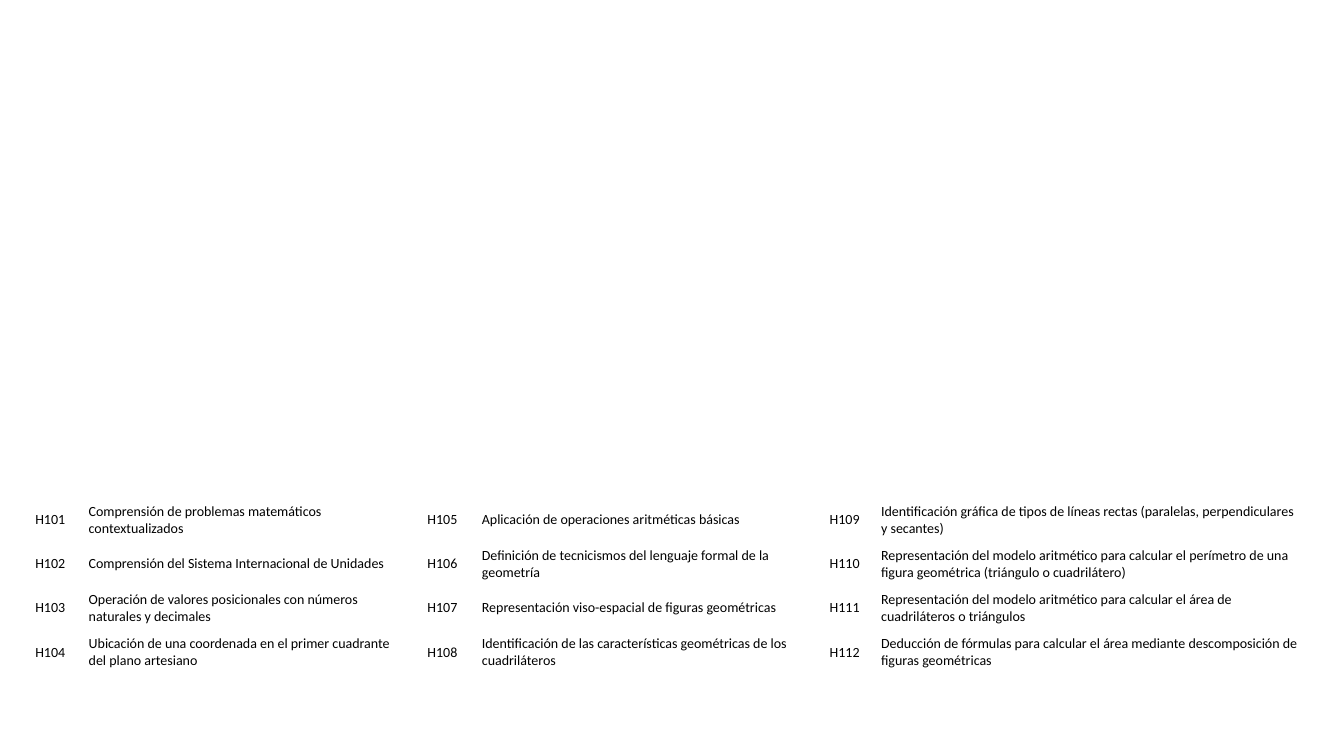
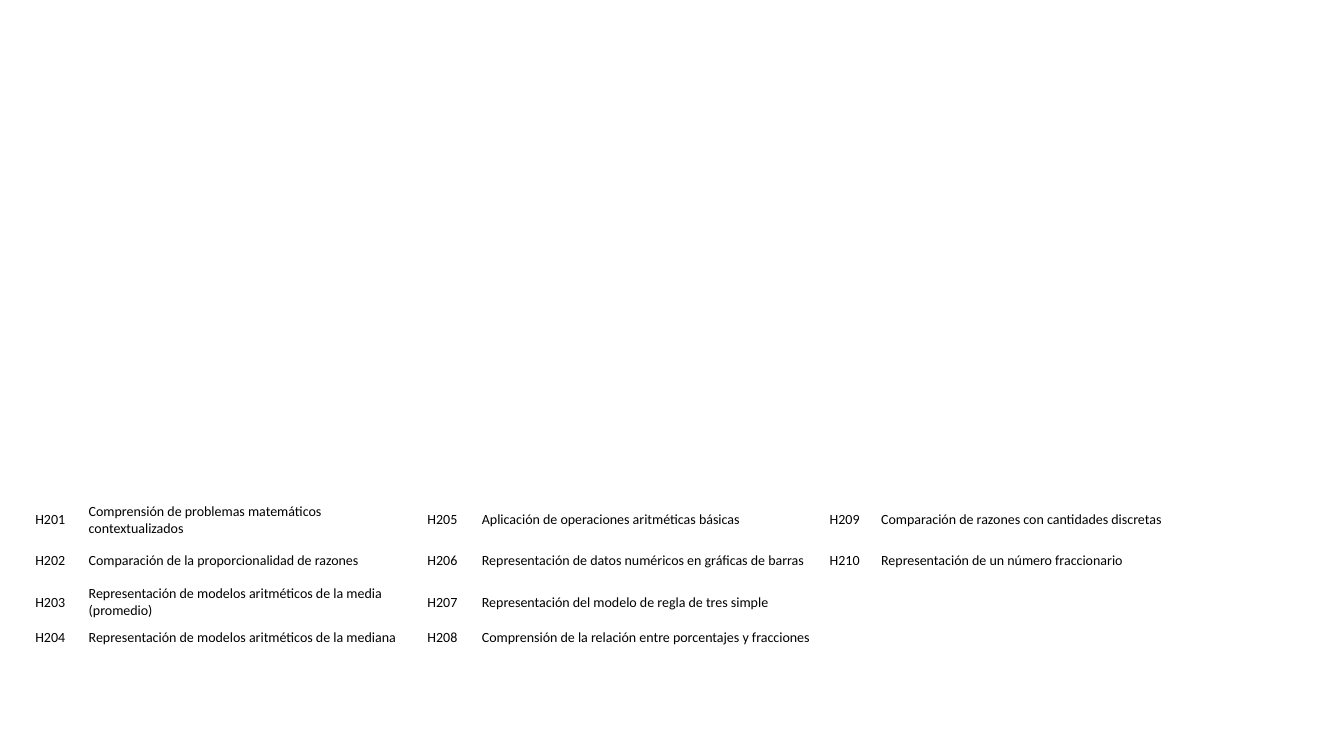
"""Build two slides that list the coded math skills of each unit."""
from dataclasses import dataclass

from lxml import etree
from pptx import Presentation
from pptx.dml.color import RGBColor
from pptx.enum.text import MSO_ANCHOR
from pptx.oxml.ns import qn
from pptx.slide import Slide
from pptx.table import _Cell
from pptx.util import Inches, Pt

MIDDLE = MSO_ANCHOR.MIDDLE
BLACK = RGBColor(0x00, 0x00, 0x00)
FONT = "Calibri"
SIZE = 10
LEFT, TOP = 0.25, 4.94
WIDTHS = (0.53, 3.36, 0.54, 3.45, 0.51, 4.35)
HEIGHTS = (0.42, 0.38, 0.23, 0.23)


@dataclass(frozen=True)
class Unit:
    """A unit number with its skills, listed down each column in turn."""

    num: int
    skills: tuple[str, ...]


UNITS = (
    Unit(1, (
        "Comprensión de problemas matemáticos contextualizados",
        "Comprensión del Sistema Internacional de Unidades",
        "Operación de valores posicionales con números naturales y decimales",
        "Ubicación de una coordenada en el primer cuadrante del plano artesiano",
        "Aplicación de operaciones aritméticas básicas",
        "Definición de tecnicismos del lenguaje formal de la geometría",
        "Representación viso-espacial de figuras geométricas",
        "Identificación de las características geométricas de los cuadriláteros",
        "Identificación gráfica de tipos de líneas rectas (paralelas, perpendiculares y secantes)",
        "Representación del modelo aritmético para calcular el perímetro de una figura geométrica (triángulo o cuadrilátero)",
        "Representación del modelo aritmético para calcular el área de cuadriláteros o triángulos",
        "Deducción de fórmulas para calcular el área mediante descomposición de figuras geométricas",
    )),
    Unit(2, (
        "Comprensión de problemas matemáticos contextualizados",
        "Comparación de la proporcionalidad de razones",
        "Representación de modelos aritméticos de la media (promedio)",
        "Representación de modelos aritméticos de la mediana",
        "Aplicación de operaciones aritméticas básicas",
        "Representación de datos numéricos en gráficas de barras",
        "Representación del modelo de regla de tres simple",
        "Comprensión de la relación entre porcentajes y fracciones",
        "Comparación de razones con cantidades discretas",
        "Representación de un número fraccionario",
    )),
)


def write(cell: _Cell, text: str, *, size: int = SIZE, font: str = FONT,
          color: RGBColor = BLACK) -> None:
    """Put formatted text in a clear cell, keeping the size when empty."""
    cell.fill.background()
    cell.vertical_anchor = MIDDLE
    para = cell.text_frame.paragraphs[0]
    if text:
        run = para.add_run()
        run.text = text
        run.font.size = Pt(size)
        run.font.name = font
        run.font.color.rgb = color
    else:
        etree.SubElement(para._p, qn("a:endParaRPr"), sz=str(size * 100))


def draw(slide: Slide, unit: Unit) -> None:
    """Draw the table of codes and skills of a unit."""
    rows = len(HEIGHTS)
    table = slide.shapes.add_table(
        rows, len(WIDTHS), Inches(LEFT), Inches(TOP),
        Inches(sum(WIDTHS)), Inches(sum(HEIGHTS))).table
    table.first_row = False
    table.horz_banding = False
    for column, width in zip(table.columns, WIDTHS):
        column.width = Inches(width)
    for row, height in zip(table.rows, HEIGHTS):
        row.height = Inches(height)
    for spot in range(rows * len(WIDTHS) // 2):
        pair, row = divmod(spot, rows)
        known = spot < len(unit.skills)
        code = f"H{unit.num}{spot + 1:02}" if known else ""
        write(table.cell(row, 2 * pair), code)
        write(table.cell(row, 2 * pair + 1), unit.skills[spot] if known else "")


def main() -> None:
    """Build and save the deck."""
    deck = Presentation()
    deck.slide_width = Inches(13.33)
    deck.slide_height = Inches(7.5)
    for unit in UNITS:
        draw(deck.slides.add_slide(deck.slide_layouts[6]), unit)
    deck.save("out.pptx")


if __name__ == "__main__":
    main()
